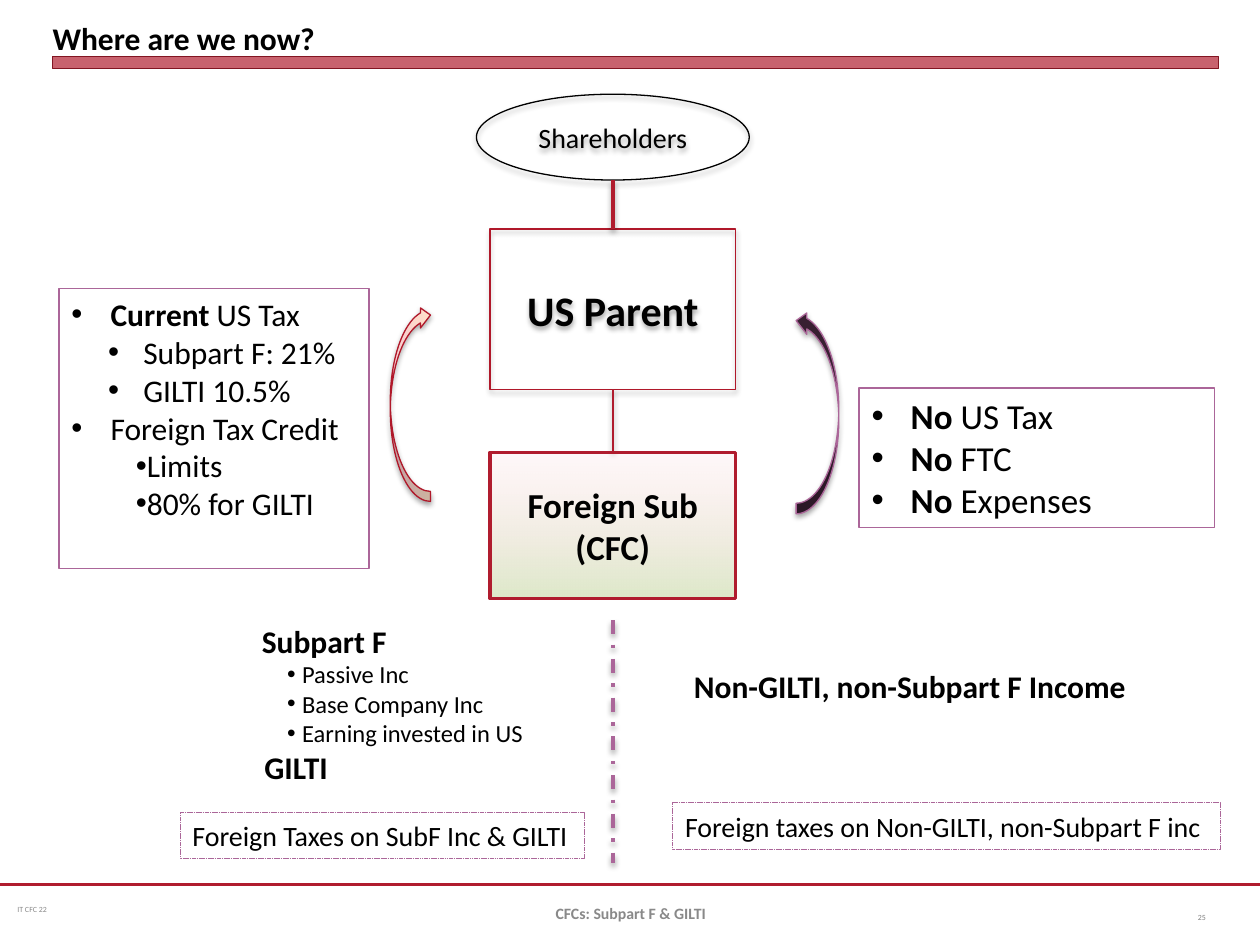
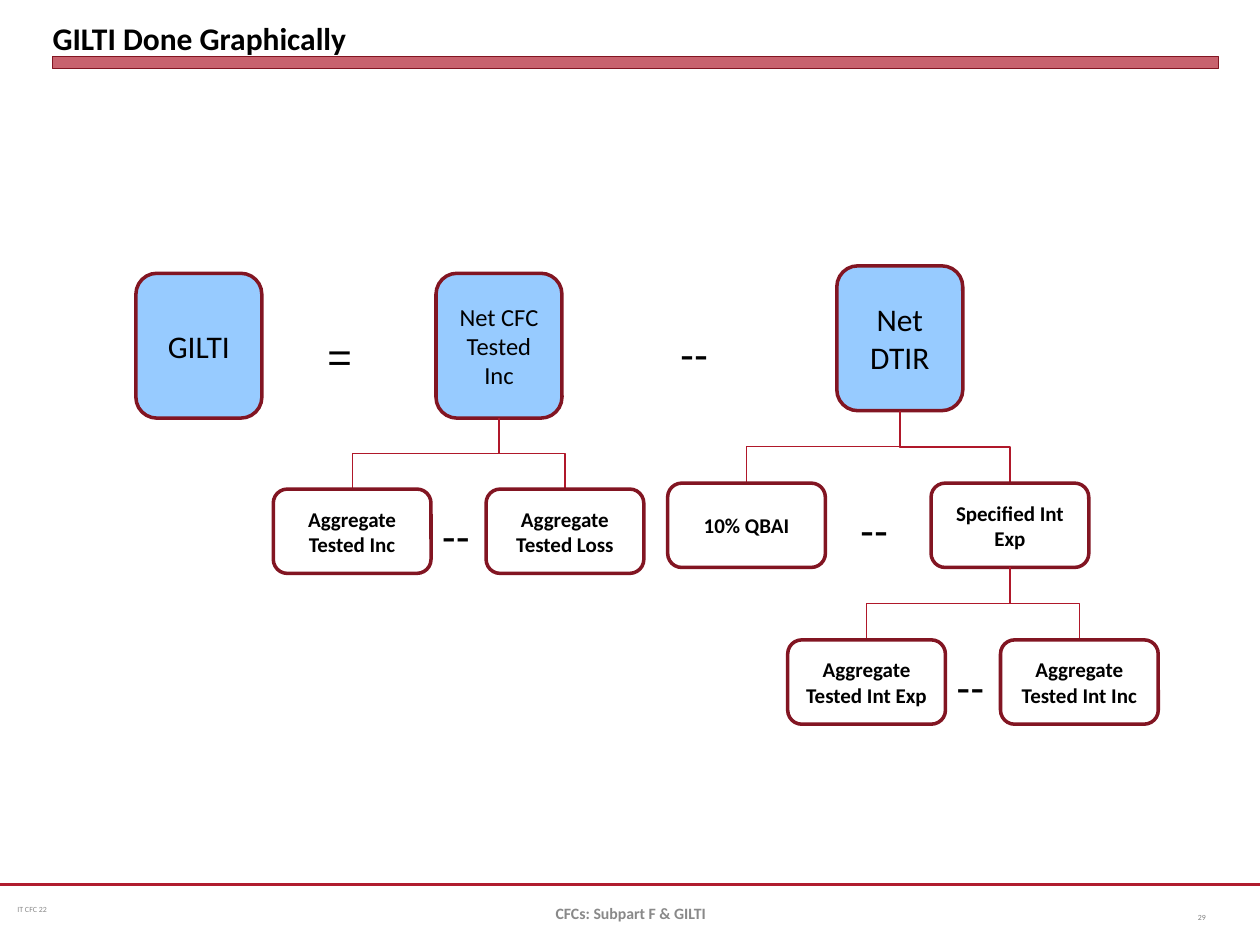
import pptx
import pptx.util
import pptx.dml.color
import pptx.enum.dml
import pptx.enum.shapes
import pptx.enum.text
import pptx.oxml
import pptx.oxml.ns
from lxml import etree

Cm, Pt = pptx.util.Cm, pptx.util.Pt
KIND = pptx.enum.shapes.MSO_SHAPE
WIRE = pptx.enum.shapes.MSO_CONNECTOR
DASH = pptx.enum.dml.MSO_LINE
ALIGN = {"l": pptx.enum.text.PP_ALIGN.LEFT,
         "c": pptx.enum.text.PP_ALIGN.CENTER,
         "r": pptx.enum.text.PP_ALIGN.RIGHT}
ANCHOR = {"t": pptx.enum.text.MSO_ANCHOR.TOP,
          "m": pptx.enum.text.MSO_ANCHOR.MIDDLE,
          "b": pptx.enum.text.MSO_ANCHOR.BOTTOM}

RED, DARK, ROSE = "B01C2E", "821522", "B0182A"
PLUM, BLUE, GREY = "AB6699", "97CBFF", "898989"
BLACK, WHITE = "000000", "FFFFFF"
FONT = "Calibri"
WIDE, HIGH = 25.4, 19.05


def rgb(code):
    return pptx.dml.color.RGBColor.from_string(code)


def node(parent, tag, **attrs):
    item = etree.SubElement(parent, pptx.oxml.ns.qn("a:" + tag))
    for key, value in attrs.items():
        item.set(key, str(value))
    return item


def tint(parent, code, alpha=100):
    color = node(parent, "srgbClr", val=code)
    if alpha < 100:
        node(color, "alpha", val=alpha * 1000)


def shade(item, glow=None):
    """Give a shape or line a soft shadow below, or none; glow is its opacity."""
    props = item._element.spPr
    for old in props.findall(pptx.oxml.ns.qn("a:effectLst")):
        props.remove(old)
    effect = node(props, "effectLst")
    if glow:
        cast = node(effect, "outerShdw", blurRad=Pt(3.1), dist=Pt(1.8),
                    dir=5400000, rotWithShape=0)
        tint(cast, BLACK, glow)


def blend(item, stops, angle):
    """Fill a shape with a gradient of (position, colour, opacity) stops."""
    item.fill.solid()
    props = item._element.spPr
    old = props.find(pptx.oxml.ns.qn("a:solidFill"))
    grad = etree.Element(pptx.oxml.ns.qn("a:gradFill"), rotWithShape="1")
    props.replace(old, grad)
    row = node(grad, "gsLst")
    for pos, code, alpha in stops:
        tint(node(row, "gs", pos=pos * 1000), code, alpha)
    node(grad, "lin", ang=angle * 60000, scaled=0)


def write(item, paras, size=18, color=BLACK, font=FONT, bold=False,
          align="l", anchor="t", inset=(0.25, 0.13), wrap=True):
    """Fill with paragraphs: text, or (text, formats). *Stars* switch bold."""
    frame = item.text_frame
    frame.word_wrap = wrap
    frame.vertical_anchor = ANCHOR[anchor]
    frame.margin_left = frame.margin_right = Cm(inset[0])
    frame.margin_top = frame.margin_bottom = Cm(inset[1])
    for i, para in enumerate([paras] if isinstance(paras, str) else paras):
        words, form = (para, {}) if isinstance(para, str) else para
        line = frame.paragraphs[0] if i == 0 else frame.add_paragraph()
        line.alignment = ALIGN[align]
        if "left" in form:
            props = line._p.get_or_add_pPr()
            props.set("marL", str(Cm(form["left"])))
            props.set("indent", str(Cm(form["hang"])))
            if form.get("dot", True):
                node(props, "buFont", typeface="Arial")
                node(props, "buChar", char="•")
        for j, part in enumerate(words.split("*")):
            if part:
                run = line.add_run()
                run.text = part
                run.font.size = Pt(form.get("size", size))
                run.font.name = font
                run.font.bold = form.get("bold", bold) or j % 2 == 1
                run.font.color.rgb = rgb(color)


def label(slide, box, paras, **form):
    item = slide.shapes.add_textbox(*map(Cm, box))
    write(item, paras, **form)
    return item


def shape(slide, kind, box, fill=None, edge=ROSE, width=0.75, dash=None,
          glow=None, paras=None, **form):
    item = slide.shapes.add_shape(kind, *map(Cm, box))
    if fill:
        item.fill.solid()
        item.fill.fore_color.rgb = rgb(fill)
    else:
        item.fill.background()
    item.line.color.rgb = rgb(edge)
    item.line.width = Pt(width)
    if dash:
        item.line.dash_style = dash
    item.shadow.inherit = False
    if glow:
        shade(item, glow)
    if paras:
        write(item, paras, **form)
    return item


def wire(slide, start, end, kind=WIRE.STRAIGHT, color=RED, width=1,
         dash=None, glow=None):
    item = slide.shapes.add_connector(kind, *map(Cm, (*start, *end)))
    item.line.color.rgb = rgb(color)
    item.line.width = Pt(width)
    if dash:
        item.line.dash_style = dash
    shade(item, glow)
    return item


def drop(slide, start, end):
    """Elbow that leaves downward, runs across and arrives downward."""
    (x1, y1), (x2, y2) = start, end
    midx, midy = (x1 + x2) / 2, (y1 + y2) / 2
    tall, span = (y2 - y1) / 2, abs(x2 - x1) / 2
    item = wire(slide, (midx - tall, midy - span), (midx + tall, midy + span),
                WIRE.ELBOW, ROSE, 0.75)
    turn = item._element.spPr.find(pptx.oxml.ns.qn("a:xfrm"))
    turn.set("rot", str((90 if x2 < x1 else 270) * 60000))
    if x2 > x1:
        turn.set("flipH", "1")


def base(deck, title, page):
    """Title, red band and footer shared by every slide."""
    slide = deck.slides.add_slide(deck.slide_layouts[6])
    foot, left, width = 17.83, 1.06, 23.5
    wire(slide, (0, foot), (WIDE, foot), width=1.25)
    label(slide, (0.2, foot, 6.55, 1.02), "IT CFC 22", size=4.5, color=GREY,
          anchor="m", inset=(0.15, 0.08))
    band = shape(slide, KIND.RECTANGLE, (left, 1.14, width, 0.25), RED, DARK, 0)
    solid = band._element.spPr.find(pptx.oxml.ns.qn("a:solidFill"))
    node(solid[0], "alpha", val=69000)
    label(slide, (left, 0.13, width, 1.02), title, bold=True, anchor="b",
          inset=(0, 0))
    label(slide, (23.29, foot + 0.15, 1.27, 1.02), page, size=4.5,
          color="808080", align="r", anchor="m")
    label(slide, (8.69, foot + 0.08, 8.05, 1.02), "CFCs: Subpart F & GILTI",
          size=9, color=GREY, bold=True, align="c", anchor="m")
    return slide


# Slide "Where are we now?"
def chain(slide, x, y, w):
    """Shareholders, parent and subsidiary, one below the other."""
    mid = x + w / 2
    form = dict(align="c", anchor="m")
    shape(slide, KIND.RECTANGLE, (x, y + 2.72, w, 3.23), glow=35,
          paras="US Parent", size=24, bold=True, **form)
    wire(slide, (mid, y + 5.95), (mid, y + 7.22), color=RED, glow=38)
    sub = shape(slide, KIND.RECTANGLE, (x, y + 7.22, w, 2.95), edge=RED,
                width=2, paras=["Foreign Sub", "(CFC)"], size=20, bold=True,
                **form)
    blend(sub, [(0, "DEE9C9", 100), (100, "FADDE0", 19)], 270)
    shape(slide, KIND.OVAL, (mid - 2.75, y, 5.5, 1.73), edge=BLACK, glow=35,
          paras="Shareholders", size=16, **form)
    wire(slide, (mid, y + 1.73), (mid, y + 2.72), width=2, glow=38)
    wire(slide, (mid, y + 10.6), (mid, y + 15.5), color=PLUM, width=2,
         dash=DASH.DASH_DOT, glow=38)


def income(slide, x, y):
    """Kinds of income and their foreign taxes, left and right of the divide."""
    kind = dict(left=0.81, hang=-0.3, size=14, bold=False)
    label(slide, (x, y, 6.45, 4.19), [
        "Subpart F", ("Passive Inc", kind), ("Base Company Inc", kind),
        ("Earning invested in US", kind),
        ("GILTI", dict(left=0.05, hang=0, dot=False))], bold=True)
    label(slide, (x + 8.71, y + 0.92, 9.55, 1.02),
          "Non-GILTI, non-Subpart F Income", bold=True)
    for dx, dy, w, text in (
            (-1.4, 3.97, 8.15, "Foreign Taxes on SubF Inc & GILTI"),
            (8.53, 3.78, 11.05, "Foreign taxes on Non-GILTI, non-Subpart F inc")):
        shape(slide, KIND.RECTANGLE, (x + dx, y + dy, w, 0.94), edge=PLUM,
              width=0.25, dash=DASH.SQUARE_DOT, paras=text, size=16, wrap=False)


def taxes(slide, left, right):
    """The two boxes of tax effects."""
    top = dict(left=0.79, hang=-0.79)
    rate = dict(left=1.45, hang=-0.71)
    cap = dict(left=0.79, hang=0.51)
    shape(slide, KIND.RECTANGLE, left, edge=PLUM, paras=[
        ("*Current* US Tax", top), ("Subpart F: 21%", rate),
        ("GILTI 10.5%", rate), ("Foreign Tax Credit", top),
        ("Limits", cap), ("80% for GILTI", cap)])
    shape(slide, KIND.RECTANGLE, right, edge=PLUM, size=20,
          paras=[(f"*No* {what}", top) for what in ("US Tax", "FTC", "Expenses")])


def arrow(slide, box, flips, edge, fill=None):
    item = shape(slide, KIND.CURVED_LEFT_ARROW, box, fill, edge, glow=35)
    turn = item._element.spPr.find(pptx.oxml.ns.qn("a:xfrm"))
    for flip in flips:
        turn.set("flip" + flip, "1")
    return item


def status(deck):
    slide = base(deck, "Where are we now?", "25")
    chain(slide, 9.88, 1.9, 4.95)
    income(slide, 5.03, 12.4)
    taxes(slide, (1.19, 5.82, 6.25, 5.64), (17.32, 7.82, 7.16, 2.82))
    up = arrow(slide, (7.87, 6.15, 0.81, 3.96), "HV", ROSE)
    blend(up, [(0, "FFDFC8", 100), (100, "F7CAD0", 100)], 0)
    arrow(slide, (16.05, 6.25, 0.86, 4.11), "V", PLUM, "381F31")


# Slide "GILTI Done Graphically"
def card(slide, x, y, text, w=2.54, h=2.92, fill=BLUE, **form):
    """Rounded card; returns the middle of its lower edge."""
    shape(slide, KIND.ROUNDED_RECTANGLE, (x, y, w, h), fill, DARK, 2,
          paras=text, align="c", anchor="m", **form)
    return x + w / 2, y + h


def sign(slide, x, y, text, w=1.57):
    label(slide, (x, y, w, 1.27), text, size=24, font="Arial")


def pair(slide, root, x, y, names, step=4.29, gap=3.15):
    """Two cards below a root, with a minus between; returns their feet."""
    w, feet = 3.18, []
    for i, name in enumerate(names):
        left = x + i * step
        drop(slide, root, (left + w / 2, y))
        feet.append(card(slide, left, y, name, w, 1.7, WHITE, size=12,
                         bold=True))
    sign(slide, x + gap, y + 0.29, "--")
    return feet


def formula(deck):
    slide = base(deck, "GILTI Done Graphically", "29")
    row = 5.51
    card(slide, 2.74, row, "GILTI")
    sign(slide, 6.35, row + 1.02, "=", 1.04)
    tested = card(slide, 8.79, row, "Net CFC Tested Inc", size=14)
    sign(slide, 13.46, row + 0.97, "--")
    dtir = card(slide, 16.87, row - 0.15, "Net DTIR")
    pair(slide, tested, 5.51, 9.86,
         ("Aggregate Tested Inc", "Aggregate Tested Loss"))
    spent = pair(slide, dtir, 13.46, 9.74, ("10% QBAI", "Specified Int Exp"),
                 5.31, 3.63)[1]
    pair(slide, spent, 15.88, 12.9,
         ("Aggregate Tested Int Exp", "Aggregate Tested Int Inc"))


def main():
    deck = pptx.Presentation()
    deck.slide_width, deck.slide_height = Cm(WIDE), Cm(HIGH)
    status(deck)
    formula(deck)
    deck.save("out.pptx")


if __name__ == "__main__":
    main()
